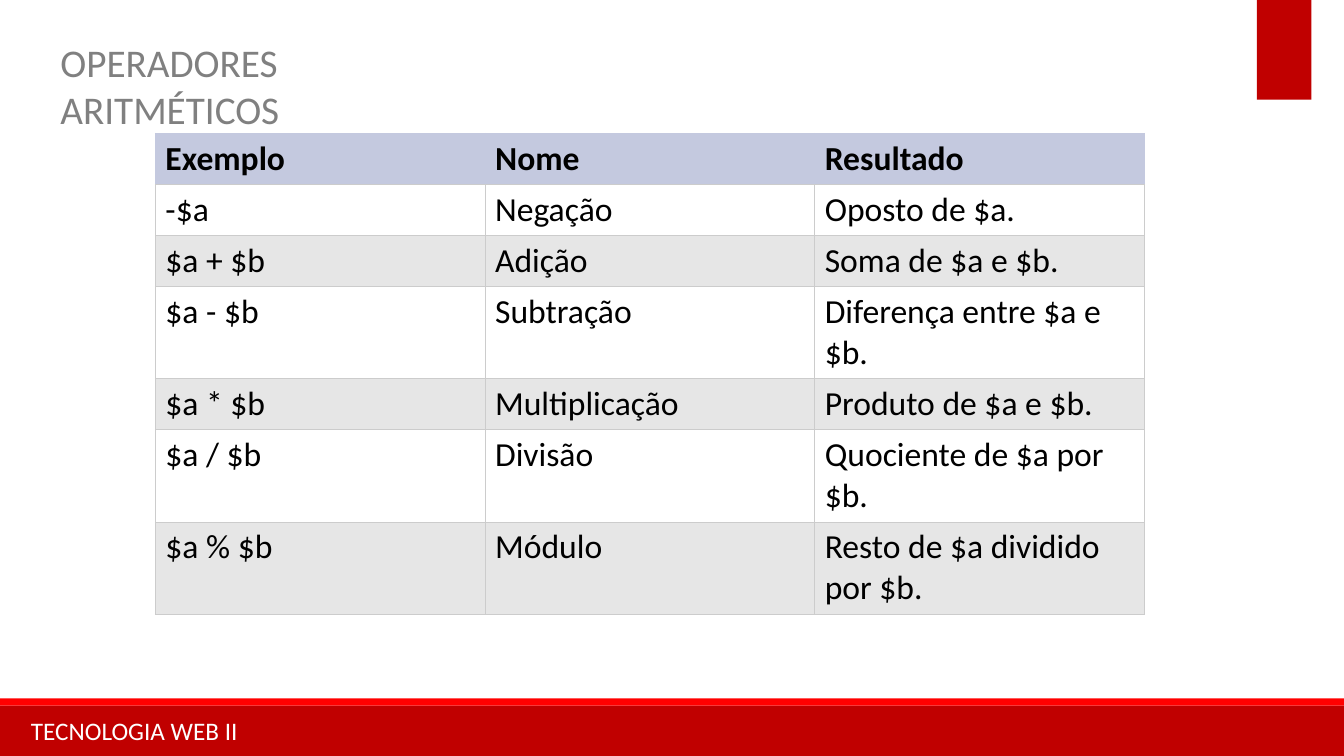
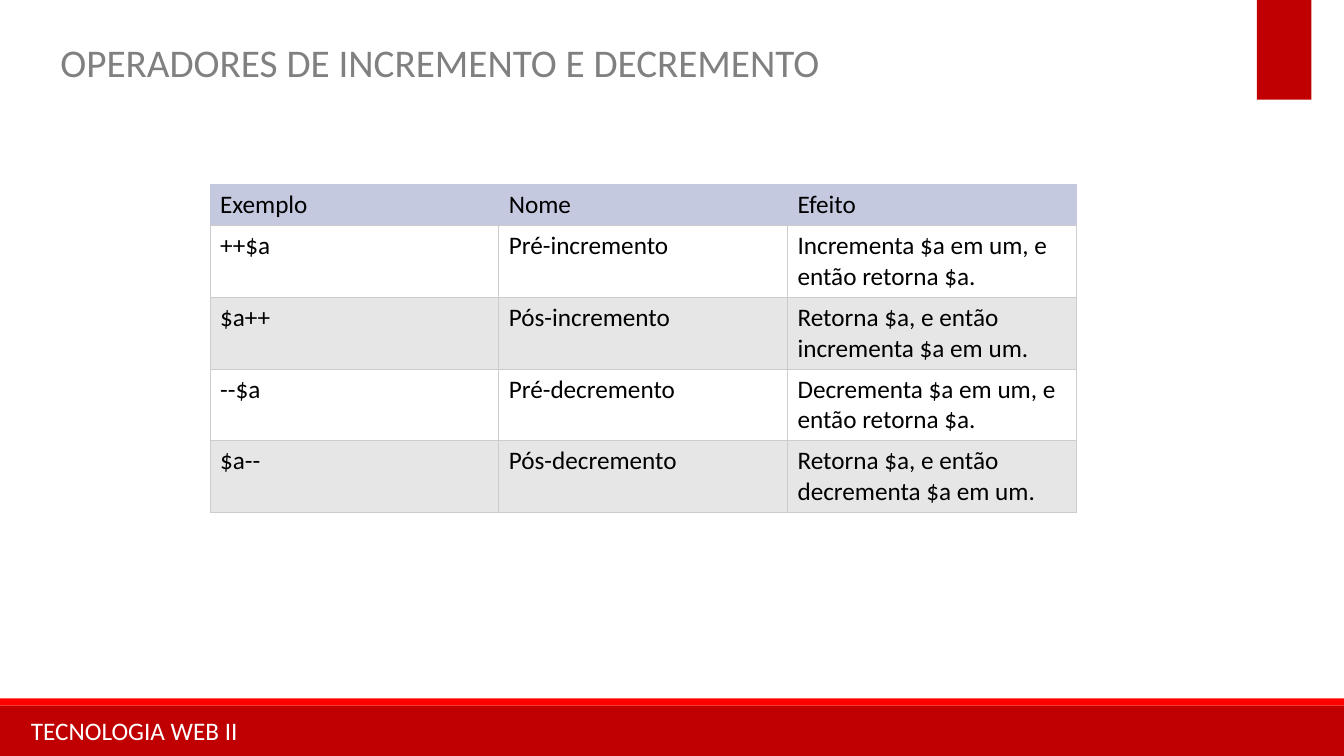
from dataclasses import dataclass

from lxml import etree
from pptx import Presentation
from pptx import util as u
from pptx.dml.color import RGBColor
from pptx.enum import shapes, text
from pptx.oxml import ns

PX = 9525  # EMU per pixel, 96 pixels to the inch
SLIDE_WIDTH, SLIDE_HEIGHT = 1280, 720
FONT = "Calibri"
COLORS = {
    "band": "C00000", "strip": "FF0000", "footer": "FFFFFF", "title": "808080",
    "text": "000000", "header": "C4C9DF", "odd": "FFFFFF", "even": "E6E6E6",
    "border": "CCCCCC",
}


@dataclass(frozen=True)
class Bar:
    color: str
    left: int
    top: int
    width: int
    height: int


@dataclass(frozen=True)
class TableSlide:
    title: str
    title_width: int
    title_inset: int
    left: int
    top: int
    column_width: int
    row_heights: tuple[int, ...]
    font_size: int
    bold_header: bool
    rows: tuple[tuple[str, str, str], ...]


BARS = (
    Bar("band", 0, 672, SLIDE_WIDTH, 48),
    Bar("strip", 0, 665, SLIDE_WIDTH, 7),
    Bar("band", 1197, 0, 52, 95),
)

SLIDES = (
    TableSlide(
        "OPERADORES ARITMÉTICOS", 442, 150, 148, 127, 314,
        (47, 47, 47, 86, 47, 86, 86), 24, True,
        (
            ("Exemplo", "Nome", "Resultado"),
            ("-$a", "Negação", "Oposto de $a."),
            ("$a + $b", "Adição", "Soma de $a e $b."),
            ("$a - $b", "Subtração", "Diferença entre $a e $b."),
            ("$a * $b", "Multiplicação", "Produto de $a e $b."),
            ("$a / $b", "Divisão", "Quociente de $a por $b."),
            ("$a % $b", "Módulo", "Resto de $a dividido por $b."),
        ),
    ),
    TableSlide(
        "OPERADORES DE INCREMENTO E DECREMENTO", 743, 0, 200, 176, 275,
        (39, 67, 67, 67, 67), 18, False,
        (
            ("Exemplo", "Nome", "Efeito"),
            ("++$a", "Pré-incremento", "Incrementa $a em um, e então retorna $a."),
            ("$a++", "Pós-incremento", "Retorna $a, e então incrementa $a em um."),
            ("--$a", "Pré-decremento", "Decrementa $a em um, e então retorna $a."),
            ("$a--", "Pós-decremento", "Retorna $a, e então decrementa $a em um."),
        ),
    ),
)


def px(*lengths: int) -> list[u.Emu]:
    return [u.Emu(length * PX) for length in lengths]


def rgb(name: str) -> RGBColor:
    return RGBColor.from_string(COLORS[name])


def set_text(text_frame, content: str, size: int, color: str, bold: bool = False) -> None:
    text_frame.text = content
    font = text_frame.paragraphs[0].runs[0].font
    font.name, font.size, font.bold = FONT, u.Pt(size), bold
    font.color.rgb = rgb(color)


def build_layout(presentation, slide, layout) -> None:
    """Draw the bands and footer once, then move them to the layout."""
    for placeholder in list(layout.placeholders):
        if placeholder.placeholder_format.type != shapes.PP_PLACEHOLDER.TITLE:
            placeholder.element.getparent().remove(placeholder.element)
    shared = []
    for bar in BARS:
        shape = slide.shapes.add_shape(
            shapes.MSO_SHAPE.RECTANGLE, *px(bar.left, bar.top, bar.width, bar.height))
        shape.shadow.inherit = False
        shape.fill.solid()
        shape.fill.fore_color.rgb = rgb(bar.color)
        shape.line.fill.background()
        shared.append(shape)
    footer = slide.shapes.add_textbox(*px(20, 677, 656, 38))
    footer.text_frame.word_wrap = True
    set_text(footer.text_frame, "TECNOLOGIA WEB II", 18, "footer")
    shared.append(footer)
    for shape in shared:
        layout.shapes.element.append(shape.element)


def add_title(slide, data: TableSlide) -> None:
    title = slide.shapes.title
    title.left, title.top, title.width, title.height = px(48, 32, data.title_width, 55)
    frame = title.text_frame
    set_text(frame, data.title, 28, "title")
    frame.paragraphs[0].alignment = text.PP_ALIGN.LEFT
    frame.vertical_anchor = text.MSO_ANCHOR.TOP
    frame.auto_size = text.MSO_AUTO_SIZE.NONE
    frame.word_wrap = data.title_inset > 0
    if data.title_inset:
        frame.margin_right = px(data.title_inset)[0]


def set_borders(cell, is_header: bool) -> None:
    properties = cell._tc.get_or_add_tcPr()
    for side in "LRTB":
        color = "header" if is_header and side != "B" else "border"
        line = etree.SubElement(properties, ns.qn(f"a:ln{side}"), w=str(u.Pt(0.75)))
        fill = etree.SubElement(line, ns.qn("a:solidFill"))
        etree.SubElement(fill, ns.qn("a:srgbClr"), val=COLORS[color])


def add_operator_table(slide, data: TableSlide) -> None:
    columns = len(data.rows[0])
    table = slide.shapes.add_table(
        len(data.rows), columns,
        *px(data.left, data.top, columns * data.column_width, sum(data.row_heights))).table
    table.first_row = table.horz_banding = False
    for column in table.columns:
        column.width = px(data.column_width)[0]
    for row_index, (values, height) in enumerate(zip(data.rows, data.row_heights)):
        table.rows[row_index].height = px(height)[0]
        is_header = row_index == 0
        fill = "header" if is_header else ("even", "odd")[row_index % 2]
        for column_index, value in enumerate(values):
            cell = table.cell(row_index, column_index)
            set_text(cell.text_frame, value, data.font_size, "text",
                     is_header and data.bold_header)
            if is_header:
                cell.vertical_anchor = text.MSO_ANCHOR.MIDDLE
            set_borders(cell, is_header)
            cell.fill.solid()
            cell.fill.fore_color.rgb = rgb(fill)


def main() -> None:
    presentation = Presentation()
    presentation.slide_width, presentation.slide_height = px(SLIDE_WIDTH, SLIDE_HEIGHT)
    layout = presentation.slide_layouts.get_by_name("Title Only")
    for index, data in enumerate(SLIDES):
        slide = presentation.slides.add_slide(layout)
        if index == 0:
            build_layout(presentation, slide, layout)
        add_title(slide, data)
        add_operator_table(slide, data)
    presentation.save("out.pptx")


if __name__ == "__main__":
    main()
